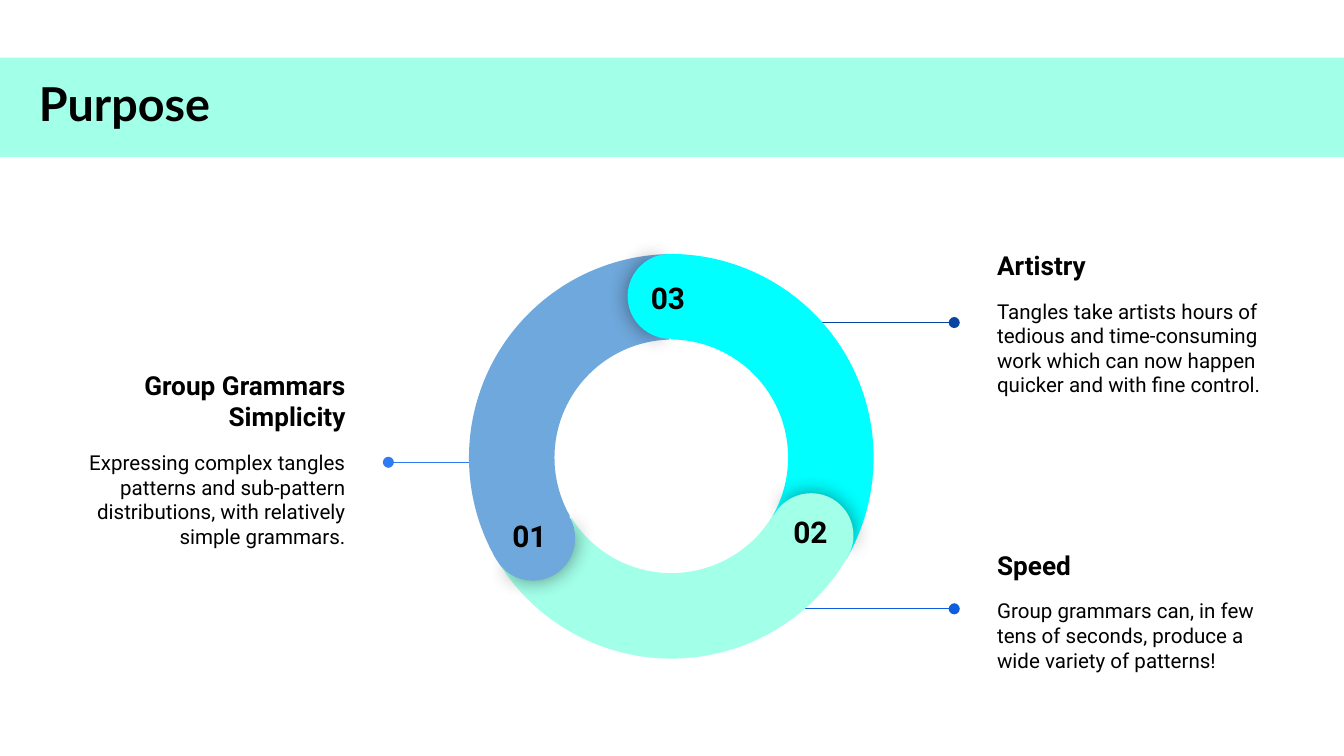
from dataclasses import dataclass

from lxml.etree import SubElement
from pptx import Presentation
from pptx.dml.color import RGBColor
from pptx.enum.shapes import MSO_CONNECTOR, MSO_SHAPE
from pptx.enum.text import MSO_ANCHOR, MSO_AUTO_SIZE, PP_ALIGN
from pptx.oxml.ns import qn
from pptx.util import Inches, Pt

COLORS = {
    "black": "000000",
    "mint": "A2FFE8",
    "cyan": "00FFFF",
    "blue": "6FA8DC",
    "simplicity": "307BF3",
    "artistry": "0944A1",
    "speed": "0D5DDF",
}
SLIDE_WIDTH = 10
RING_SIZE = 3.03
CAP_SIZE = 0.63
# Angles are in units of 100000/60000 degree, as adjustments expect them
CAP_FRONT = (61.9, 149.96)
CAP_BACK = (40.28, 171.84)


@dataclass
class Callout:
    heading: str
    body: str
    left: float
    top: float
    align: PP_ALIGN
    line_from: float
    line_to: float
    line_y: float
    color: str


@dataclass
class Segment:
    """One third of the ring, with the round numbered cap at its start."""
    number: str
    color: str
    left: float
    top: float
    rotation: float
    end_angle: float
    cap_left: float
    cap_top: float
    cap_rotation: float
    label_left: float
    label_top: float


CALLOUTS = [
    Callout("Group Grammars Simplicity",
            "Expressing complex tangles patterns and sub-pattern distributions, "
            "with relatively simple grammars.",
            0.35, 2.71, PP_ALIGN.RIGHT, 3.58, 2.89, 3.44, "simplicity"),
    Callout("Artistry",
            "Tangles take artists hours of tedious and time-consuming work "
            "which can now happen quicker and with fine control.",
            7.32, 1.7, PP_ALIGN.LEFT, 5.7, 7.1, 2.4, "artistry"),
    Callout("Speed",
            "Group grammars can, in few tens of seconds, produce a wide "
            "variety of patterns!",
            7.32, 3.84, PP_ALIGN.LEFT, 5.7, 7.1, 4.53, "speed"),
]
SEGMENTS = [
    Segment("03", "cyan", 3.47, 1.89, 60, 197.82, 4.67, 1.89, 0, 4.69, 1.98),
    Segment("02", "mint", 3.48, 1.87, 180, 196.63, 5.72, 3.67, 120, 5.75, 3.72),
    Segment("01", "blue", 3.49, 1.89, 300, 197.03, 3.65, 3.69, 240, 3.66, 3.75),
]


def rgb(name: str) -> RGBColor:
    return RGBColor.from_string(COLORS[name])


def style(p, size: float, bold: bool, font: str = "Roboto") -> None:
    p.font.name = font
    p.font.size = Pt(size)
    p.font.bold = bold
    p.font.color.rgb = rgb("black")


def set_frame(tf, anchor: MSO_ANCHOR) -> None:
    tf.word_wrap = True
    tf.auto_size = MSO_AUTO_SIZE.NONE
    tf.vertical_anchor = anchor
    tf.margin_left = tf.margin_right = Inches(0.1)
    tf.margin_top = tf.margin_bottom = Inches(0.1)


def add_filled(s, kind: MSO_SHAPE, left: float, top: float, width: float,
               height: float, color: str, rotation: float = 0,
               adjustments: tuple = ()):
    sp = s.shapes.add_shape(kind, Inches(left), Inches(top),
                            Inches(width), Inches(height))
    sp.shadow.inherit = False
    sp.fill.solid()
    sp.fill.fore_color.rgb = rgb(color)
    sp.line.fill.background()
    sp.rotation = rotation
    for i, value in enumerate(adjustments):
        sp.adjustments[i] = value
    return sp


def add_glow_shadow(sp) -> None:
    """Give the shape a soft black shadow without offset."""
    effects = sp.element.spPr.find(qn("a:effectLst"))
    shadow = SubElement(effects, qn("a:outerShdw"), blurRad=str(Pt(11.2)),
                        dist="0", dir="0", algn="bl", rotWithShape="0")
    color = SubElement(shadow, qn("a:srgbClr"), val=COLORS["black"])
    SubElement(color, qn("a:alpha"), val="43000")


def add_text_box(s, left: float, top: float, width: float, height: float,
                 anchor: MSO_ANCHOR):
    tf = s.shapes.add_textbox(Inches(left), Inches(top),
                              Inches(width), Inches(height)).text_frame
    set_frame(tf, anchor)
    return tf


def add_callout(s, c: Callout) -> None:
    tf = add_text_box(s, c.left, c.top, 2.32, 1.41, MSO_ANCHOR.MIDDLE)
    heading, body = tf.paragraphs[0], tf.add_paragraph()
    heading.text, body.text = c.heading, c.body
    heading.alignment = body.alignment = c.align
    style(heading, 14, True)
    style(body, 11, False)
    body.space_before = Pt(9.5)
    body.space_after = Pt(16)

    line = s.shapes.add_connector(MSO_CONNECTOR.STRAIGHT,
                                  Inches(c.line_from), Inches(c.line_y),
                                  Inches(c.line_to), Inches(c.line_y))
    line.line.color.rgb = rgb(c.color)
    line.line.width = Pt(0.75)
    SubElement(line.line._get_or_add_ln(), qn("a:tailEnd"), type="oval")
    SubElement(line.element.spPr, qn("a:effectLst"))


def add_arc(s, seg: Segment) -> None:
    add_filled(s, MSO_SHAPE.BLOCK_ARC, seg.left, seg.top, RING_SIZE, RING_SIZE,
               seg.color, seg.rotation, (126.22, seg.end_angle, 0.21))


def add_cap(s, seg: Segment) -> None:
    place = (seg.cap_left, seg.cap_top, CAP_SIZE, CAP_SIZE, seg.color)
    front = add_filled(s, MSO_SHAPE.PIE, *place, seg.cap_rotation + 0.7, CAP_FRONT)
    add_glow_shadow(front)
    add_filled(s, MSO_SHAPE.PIE, *place, (seg.cap_rotation + 180) % 360, CAP_BACK)


def add_number(s, seg: Segment) -> None:
    tf = add_text_box(s, seg.label_left, seg.label_top, 0.56, 0.29, MSO_ANCHOR.TOP)
    p = tf.paragraphs[0]
    p.text = seg.number
    p.alignment = PP_ALIGN.CENTER
    style(p, 16, True)


def add_title(s) -> None:
    band = add_filled(s, MSO_SHAPE.RECTANGLE, 0, 0.43, SLIDE_WIDTH, 0.74, "mint")
    s.shapes.element.insert(2, band.element)  # behind the title
    title = s.shapes.title
    title.left, title.top = Inches(0.19), Inches(0.46)
    title.width, title.height = Inches(1.54), Inches(0.52)
    set_frame(title.text_frame, MSO_ANCHOR.TOP)
    p = title.text_frame.paragraphs[0]
    p.text = "Purpose"
    p.alignment = PP_ALIGN.LEFT
    style(p, 25, True, "Lato")


def main() -> None:
    prs = Presentation()
    prs.slide_width = Inches(SLIDE_WIDTH)
    prs.slide_height = Inches(SLIDE_WIDTH * 9 / 16)
    s = prs.slides.add_slide(prs.slide_layouts[5])
    add_title(s)
    for callout in CALLOUTS:
        add_callout(s, callout)
    for draw in (add_arc, add_cap, add_number):
        for seg in SEGMENTS:
            draw(s, seg)
    prs.save("out.pptx")


if __name__ == "__main__":
    main()
